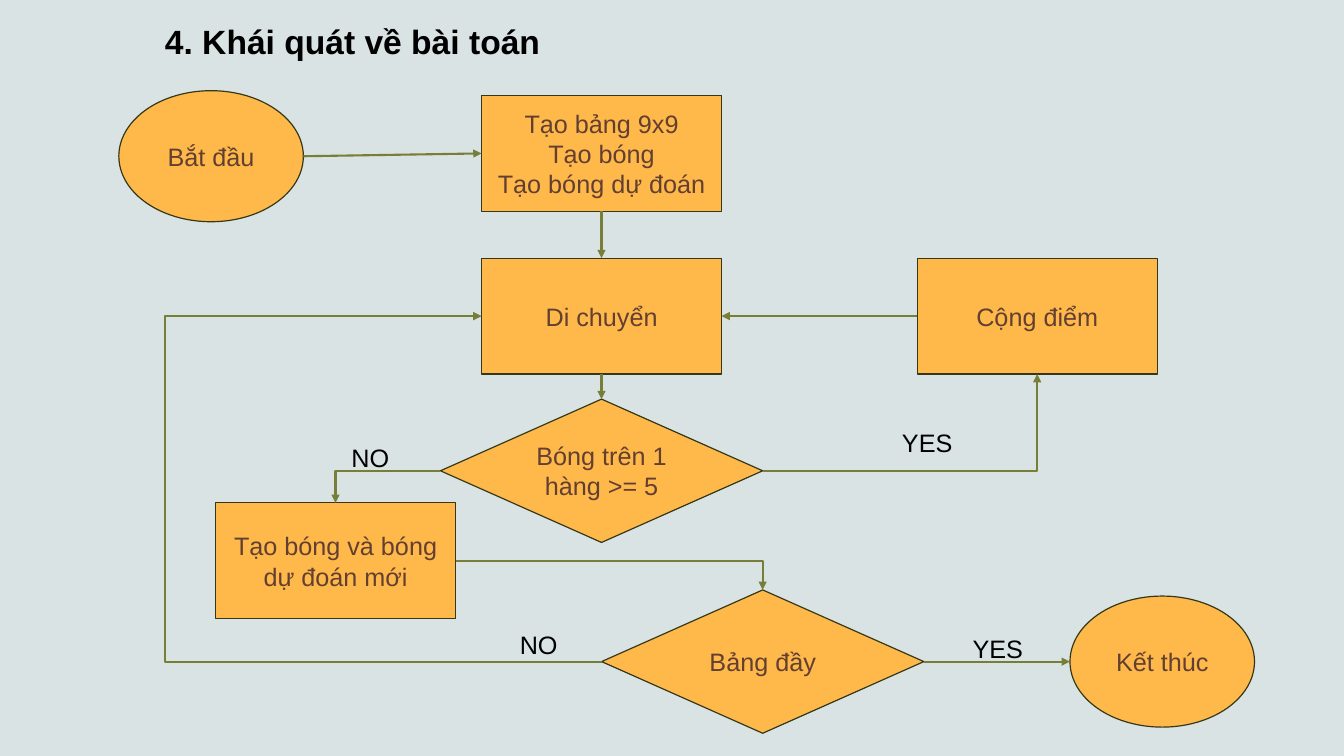
from dataclasses import dataclass

import pptx
import pptx.dml.color
import pptx.enum.shapes
import pptx.enum.text
import pptx.oxml
import pptx.oxml.ns
import pptx.slide
import pptx.text.text
import pptx.util
from pptx.oxml.ns import qn

Pt = pptx.util.Pt
RGBColor = pptx.dml.color.RGBColor
ShapeType = pptx.enum.shapes.MSO_SHAPE
ConnectorType = pptx.enum.shapes.MSO_CONNECTOR
Align = pptx.enum.text.PP_ALIGN
Anchor = pptx.enum.text.MSO_ANCHOR
AutoSize = pptx.enum.text.MSO_AUTO_SIZE

BACKGROUND = RGBColor(0xDA, 0xE3, 0xE3)
NODE_FILL = RGBColor(0xFE, 0xB9, 0x4A)
NODE_LINE = RGBColor(0x34, 0x37, 0x18)
NODE_TEXT = RGBColor(0x63, 0x3F, 0x31)
ARROW = RGBColor(0x76, 0x7E, 0x37)
BLACK = RGBColor(0, 0, 0)

FONT = "Arial"
TOP, LEFT, BOTTOM, RIGHT = range(4)
NODE_SIZES = {
    ShapeType.OVAL: (131.8, 93.6),
    ShapeType.RECTANGLE: (171.4, 82.8),
    ShapeType.FLOWCHART_DECISION: (230.2, 102.4),
}
MAIN_X, MOVE_Y, BOARD_Y = 429.7, 225.8, 472.6
LOOP_X = 117.9


@dataclass(frozen=True)
class Node:
    kind: ShapeType
    center_x: float
    center_y: float
    lines: tuple[str, ...]

    def side(self, site: int) -> tuple[float, float]:
        width, height = NODE_SIZES[self.kind]
        step_x, step_y = ((0, -1), (-1, 0), (0, 1), (1, 0))[site]
        return self.center_x + step_x * width / 2, self.center_y + step_y * height / 2


@dataclass(frozen=True)
class Arrow:
    source: str
    source_site: int
    target: str
    target_site: int
    preset: str = "line"


@dataclass(frozen=True)
class Label:
    text: str
    left: float
    top: float
    width: float


NODES = {
    "start": Node(ShapeType.OVAL, 150.8, 111.6, ("Bắt đầu",)),
    "end": Node(ShapeType.OVAL, 830.2, BOARD_Y, ("Kết thúc",)),
    "setup": Node(ShapeType.RECTANGLE, MAIN_X, 109.6,
                  ("Tạo bảng 9x9", "Tạo bóng", "Tạo bóng dự đoán")),
    "move": Node(ShapeType.RECTANGLE, MAIN_X, MOVE_Y, ("Di chuyển",)),
    "new_balls": Node(ShapeType.RECTANGLE, 239.7, 400.6, ("Tạo bóng và bóng dự đoán mới",)),
    "score": Node(ShapeType.RECTANGLE, 740.9, MOVE_Y, ("Cộng điểm",)),
    "row_check": Node(ShapeType.FLOWCHART_DECISION, MAIN_X, 336.3, ("Bóng trên 1 hàng >= 5",)),
    "board_check": Node(ShapeType.FLOWCHART_DECISION, 544.8, BOARD_Y, ("Bảng đầy",)),
}
ARROWS = (
    Arrow("start", RIGHT, "setup", LEFT),
    Arrow("setup", BOTTOM, "move", TOP),
    Arrow("move", BOTTOM, "row_check", TOP),
    Arrow("row_check", RIGHT, "score", BOTTOM, "bentConnector2"),
    Arrow("new_balls", RIGHT, "board_check", TOP, "bentConnector2"),
    Arrow("row_check", LEFT, "new_balls", TOP, "bentConnector2"),
    Arrow("board_check", RIGHT, "end", LEFT),
    Arrow("score", LEFT, "move", RIGHT),
    Arrow("board_check", LEFT, "move", LEFT, "bentConnector3"),
)
LABELS = (
    Label("YES", 687.6, 448.8, 51),
    Label("YES", 637.2, 301.8, 51),
    Label("NO", 244, 312.4, 42.4),
    Label("NO", 364.2, 445.6, 42.4),
)


def add_run(paragraph: pptx.text.text._Paragraph, text: str, size: float,
            color: RGBColor, bold: bool = False) -> None:
    run = paragraph.add_run()
    run.text = text
    run.font.name = FONT
    run.font.size = Pt(size)
    run.font.bold = bold
    run.font.color.rgb = color


def set_title(slide: pptx.slide.Slide, text: str) -> None:
    title = slide.shapes.title
    title.left, title.top, title.width, title.height = Pt(110.6), Pt(11), Pt(369.4), Pt(36.4)
    frame = title.text_frame
    frame.word_wrap = True
    frame.auto_size = AutoSize.SHAPE_TO_FIT_TEXT
    frame.vertical_anchor = Anchor.TOP
    paragraph = frame.paragraphs[0]
    paragraph.alignment = Align.LEFT
    add_run(paragraph, text, 24, BLACK, bold=True)


def add_node(slide: pptx.slide.Slide, node: Node):
    width, height = NODE_SIZES[node.kind]
    shape = slide.shapes.add_shape(
        node.kind, Pt(node.center_x - width / 2), Pt(node.center_y - height / 2),
        Pt(width), Pt(height))
    shape.shadow.inherit = False
    shape.fill.solid()
    shape.fill.fore_color.rgb = NODE_FILL
    shape.line.color.rgb = NODE_LINE
    shape.line.width = Pt(0.85)
    frame = shape.text_frame
    frame.word_wrap = True
    frame.vertical_anchor = Anchor.MIDDLE
    for index, line in enumerate(node.lines):
        paragraph = frame.add_paragraph() if index else frame.paragraphs[0]
        paragraph.alignment = Align.CENTER
        add_run(paragraph, line, 18, NODE_TEXT)
    return shape


def add_arrow(slide: pptx.slide.Slide, arrow: Arrow, shapes: dict) -> None:
    source, target = NODES[arrow.source], NODES[arrow.target]
    start_x, start_y = source.side(arrow.source_site)
    end_x, end_y = target.side(arrow.target_site)
    kind = ConnectorType.STRAIGHT if arrow.preset == "line" else ConnectorType.ELBOW
    connector = slide.shapes.add_connector(kind, Pt(start_x), Pt(start_y), Pt(end_x), Pt(end_y))
    if source.kind != ShapeType.OVAL:
        connector.begin_connect(shapes[arrow.source], arrow.source_site)
    if target.kind != ShapeType.OVAL:
        connector.end_connect(shapes[arrow.target], arrow.target_site)
    connector.line.color.rgb = ARROW
    connector.line.width = Pt(1.5)
    properties = connector._element.spPr
    geometry = properties.find(qn("a:prstGeom"))
    geometry.set("prst", arrow.preset)
    if arrow.preset == "bentConnector3":
        bend = round((start_x - LOOP_X) / (start_x - end_x) * 100000)
        guide = pptx.oxml.ns.nsdecls("a")
        geometry.find(qn("a:avLst")).append(pptx.oxml.parse_xml(
            f'<a:gd {guide} name="adj1" fmla="val {bend}"/>'))
    outline = properties.find(qn("a:ln"))
    head = outline.makeelement(qn("a:tailEnd"), {"type": "triangle"})
    outline.append(head)
    properties.append(properties.makeelement(qn("a:effectLst"), {}))


def add_label(slide: pptx.slide.Slide, label: Label) -> None:
    box = slide.shapes.add_textbox(Pt(label.left), Pt(label.top), Pt(label.width), Pt(29))
    frame = box.text_frame
    frame.word_wrap = False
    frame.auto_size = AutoSize.SHAPE_TO_FIT_TEXT
    add_run(frame.paragraphs[0], label.text, 18, BLACK)


def main() -> None:
    presentation = pptx.Presentation()
    presentation.slide_width, presentation.slide_height = Pt(960), Pt(540)
    slide = presentation.slides.add_slide(presentation.slide_layouts[5])
    slide.background.fill.solid()
    slide.background.fill.fore_color.rgb = BACKGROUND
    set_title(slide, "4. Khái quát về bài toán")
    shapes = {name: add_node(slide, node) for name, node in NODES.items()}
    for arrow in ARROWS:
        add_arrow(slide, arrow, shapes)
    for label in LABELS:
        add_label(slide, label)
    presentation.save("out.pptx")


if __name__ == "__main__":
    main()
